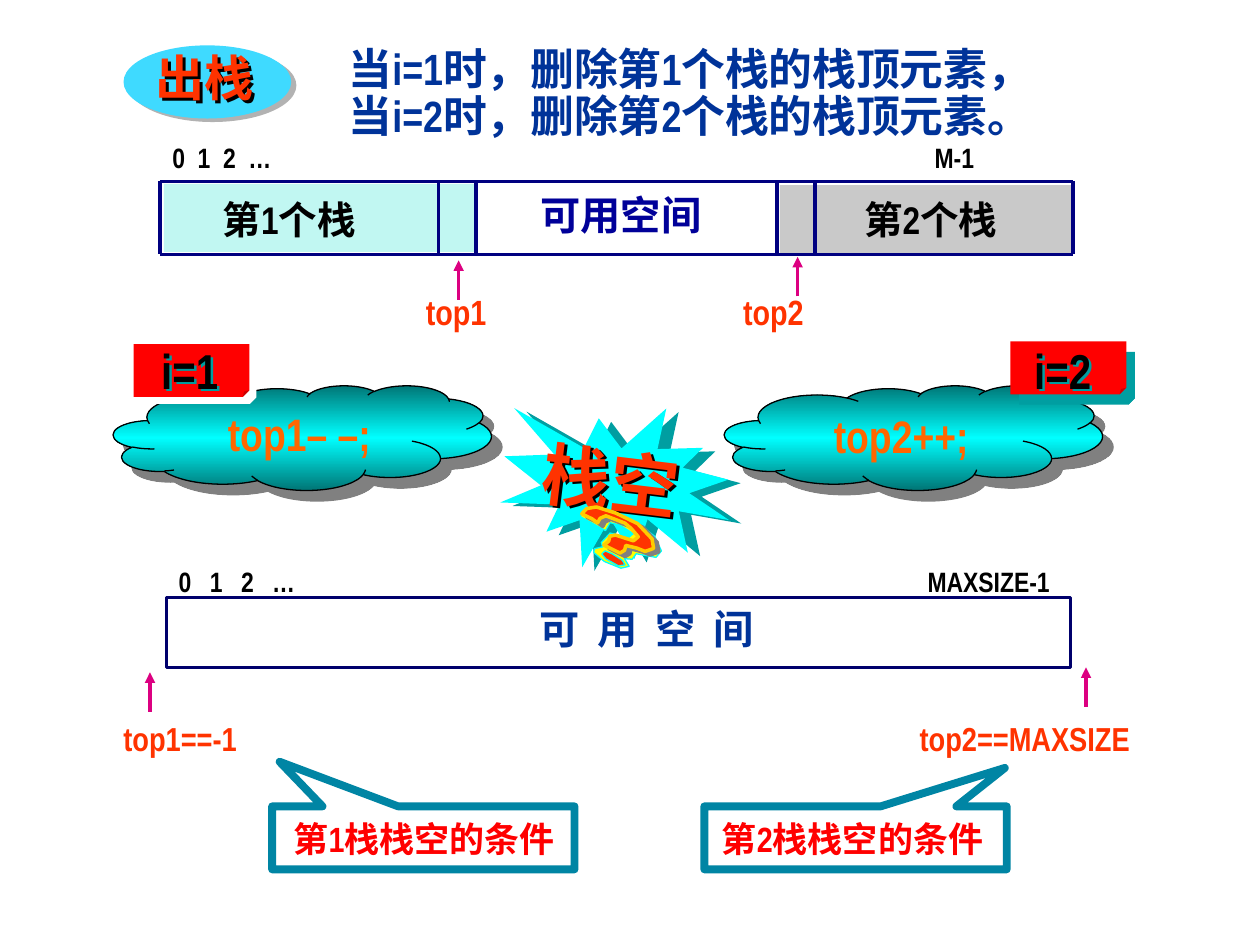
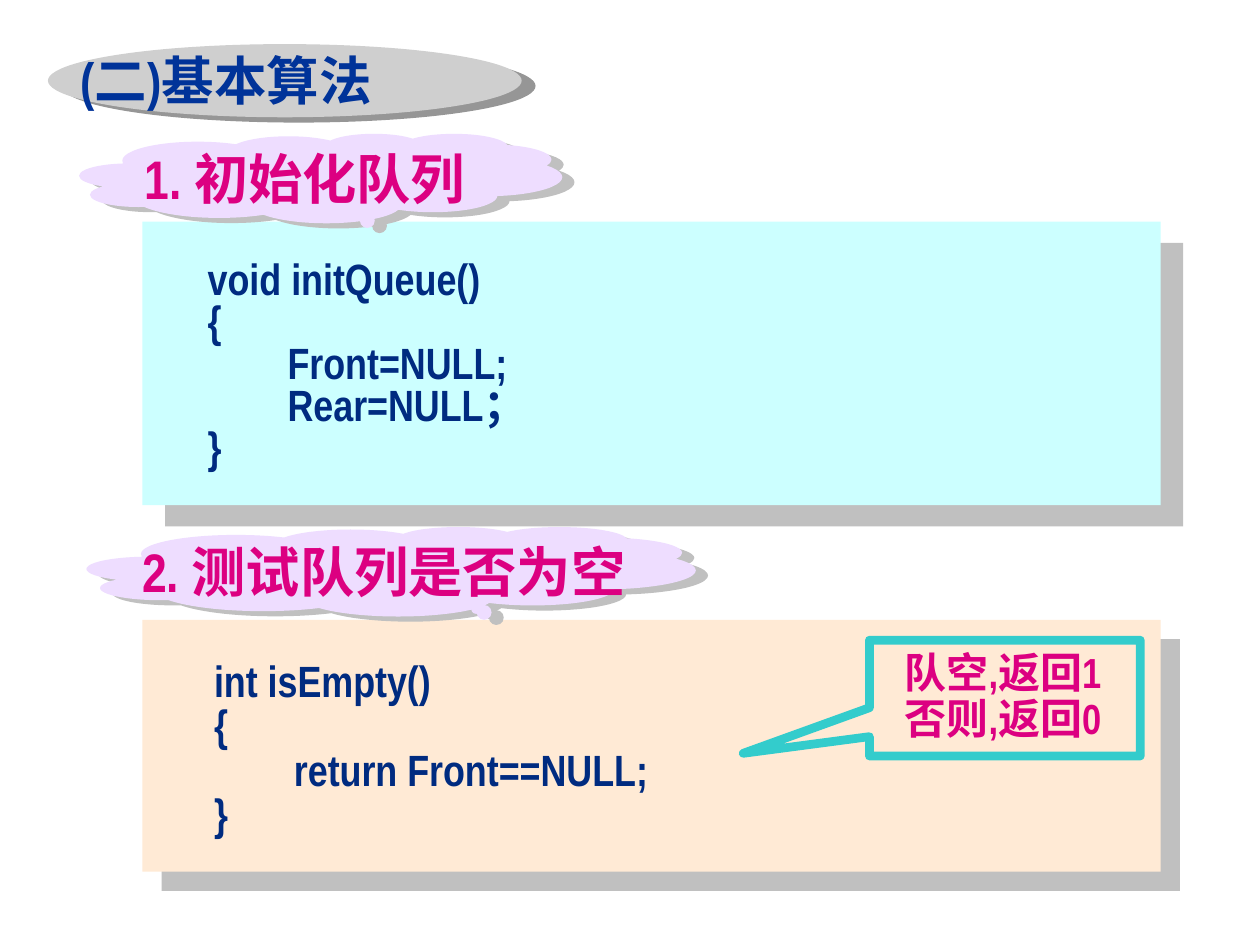
"""Builds two slides on shared stacks and linked queues."""
from copy import deepcopy

from lxml.etree import SubElement
from pptx import Presentation
from pptx.dml.color import RGBColor
from pptx.enum.shapes import MSO_CONNECTOR, MSO_SHAPE
from pptx.oxml.ns import qn
from pptx.util import Pt

LATIN, CJK = "Arial Narrow", "Noto Sans CJK SC"
COLORS = {
    "title": "003399", "navy": "000080", "frame": "00006C", "free": "000099", "code": "002B80",
    "black": "000000", "white": "FFFFFF", "red": "FF0000", "vermilion": "FF3300",
    "orange": "FF6600", "gold": "FFCC00", "yellow": "FFFF00", "magenta": "DC0081",
    "cyan": "00FFFF", "deep_teal": "007676", "teal_shadow": "009EA1", "callout": "0085A4",
    "turquoise": "33CCCC", "sky": "3FDAFF", "stack1": "C1F7F2", "stack2": "C9C9C9",
    "init": "CCFFFF", "empty": "FFEAD5", "lilac": "EEDDFF", "section": "CFCFCF",
    "gray": "808080", "mid_gray": "969696", "soft_gray": "B2B2B2", "pale_gray": "C0C0C0",
}
RGB = {name: RGBColor.from_string(value) for name, value in COLORS.items()}


def draw(s, kind, box=None, fill=None, line=None, weight=0.75, shadow=None, rot=0, adj=None):
    """Add a text box (kind None), a preset shape or an outline in 1/100 inch."""
    if kind is None:
        sp = s.shapes.add_textbox(*map(Pt, box))
    elif isinstance(kind, list):
        builder = s.shapes.build_freeform(*kind[0], scale=Pt(0.72))
        builder.add_line_segments(kind[1:], close=True)
        sp = builder.convert_to_shape()
    else:
        sp = s.shapes.add_shape(kind, *map(Pt, box))
    if adj:
        guides = sp._element.spPr.find(".//" + qn("a:avLst"))
        guides[:] = []
        for name, value in adj.items():
            SubElement(guides, qn("a:gd"), name=name, fmla=f"val {round(value * 100000)}")
    sp.rotation = rot
    if fill:
        sp.fill.solid()
        sp.fill.fore_color.rgb = RGB[fill]
    else:
        sp.fill.background()
    if line:
        sp.line.color.rgb = RGB[line]
        sp.line.width = Pt(weight)
    else:
        sp.line.fill.background()
    sp.shadow.inherit = False
    if shadow:
        color, dist, angle = shadow
        effects = sp._element.spPr.find(qn("a:effectLst"))
        outer = SubElement(effects, qn("a:outerShdw"), dist=str(Pt(dist)),
                           dir=str(angle * 60000), algn="ctr", rotWithShape="0")
        SubElement(outer, qn("a:srgbClr"), val=COLORS[color])
    return sp


def text(s, box, lines, size, color, spacing=1.0, tracking=0, shadow=None, rot=0):
    """Add bold text; a line that starts with a tab is indented."""
    tf = draw(s, None, box, shadow=shadow, rot=rot).text_frame
    tf.word_wrap = True
    for i, content in enumerate(lines.split("\n")):
        p = tf.add_paragraph() if i else tf.paragraphs[0]
        p.text = content.lstrip("\t")
        p.line_spacing = spacing
        p.font.size, p.font.bold, p.font.name = Pt(size), True, LATIN
        p.font.color.rgb = RGB[color]
        SubElement(p.font._rPr, qn("a:ea"), typeface=CJK)
        if tracking:
            p.font._rPr.set("spc", str(int(tracking * 100)))
        if content.startswith("\t"):
            p._p.get_or_add_pPr().set("marL", str(Pt(45.7)))


prs = Presentation()
prs.slide_width, prs.slide_height = Pt(720), Pt(540)
blank = prs.slide_layouts[6]

s = prs.slides.add_slide(blank)
text(s, (192.2, 23.8, 438, 61), "当i=1时，删除第1个栈的栈顶元素，\n当i=2时，删除第2个栈的栈顶元素。",
     25, "title", 0.9)

for cloud_x, op, op_x, op_y, tag, tag_x, tag_y, tag_text_x, tag_shadow in (
    (64.8, "top1– –;", 123.1, 228.2, "i=1", 76.3, 196.6, 85, ("white", 5.7, 45)),
    (414, "top2++;", 469.4, 229.7, "i=2", 577.4, 195.1, 583.9, ("teal_shadow", 7.8, 50)),
):
    cloud = draw(s, MSO_SHAPE.CLOUD, (cloud_x, 220.3, 216, 59.8), None, "black",
                 shadow=("gray", 8.5, 45))
    cloud.fill.gradient()
    cloud.fill.gradient_angle = 90
    stops = cloud._element.spPr.find(".//" + qn("a:gsLst"))
    stops.append(deepcopy(stops[0]))
    for stop, position, color in zip(cloud.fill.gradient_stops, (0, 0.5, 1),
                                     ("deep_teal", "cyan", "deep_teal")):
        stop.position = position
        stop.color.rgb = RGB[color]
    text(s, (op_x, op_y, 140, 38), op, 26, "orange")
    draw(s, MSO_SHAPE.FOLDED_CORNER, (tag_x, tag_y, 66.2, 30.2), "red",
         shadow=tag_shadow, adj={"adj": 0.125})
    text(s, (tag_text_x, 190.8, 62, 41), tag, 28, "black", shadow=("teal_shadow", 2, 45))

draw(s, MSO_SHAPE.RECTANGLE, (95, 341.3, 517, 40.3), None, "frame", 1.75)
text(s, (301, 342, 160, 34.6), "可用空间", 23, "title", tracking=10.2)

for x, text_x, tip, label in (
    (155.5, 160.6, {"adj1": -0.475, "adj2": -1.208}, "第1栈栈空的条件"),
    (402.5, 405.4, {"adj1": 0.494, "adj2": -1.111}, "第2栈栈空的条件"),
):
    draw(s, MSO_SHAPE.RECTANGULAR_CALLOUT, (x, 460.8, 172.8, 36), None, "callout", 4.5, adj=tip)
    text(s, (text_x, 463.7, 174.2, 31), label, 20, "red")

draw(s, MSO_SHAPE.OVAL, (70.6, 25.9, 95.8, 41.8), "sky", shadow=("soft_gray", 3.6, 34))
text(s, (82, 27.4, 108, 37.4), "出栈", 28, "vermilion", 0.9, shadow=("black", 2, 45))

draw(s, MSO_SHAPE.EXPLOSION1, (286.6, 230.4, 131.8, 95.8), "cyan",
     shadow=("teal_shadow", 7.3, 16), rot=6.9)
text(s, (303, 247, 94, 54), "栈空", 39, "vermilion", shadow=("black", 2, 45), rot=6.9)

halo = [(481, 417), (489, 417), (501, 421), (498, 425), (483, 425), (478, 434), (480, 437),
        (474, 440), (474, 443), (484, 448), (498, 450), (504, 447), (499, 442), (505, 441),
        (507, 436), (523, 435), (526, 429), (518, 419), (500, 411), (477, 408), (463, 409),
        (457, 414), (457, 418), (479, 424)]
hook = [(459, 415), (468, 417), (473, 419), (474, 415), (478, 412), (494, 414), (500, 417),
        (507, 422), (504, 426), (489, 425), (485, 427), (485, 431), (482, 435), (496, 438),
        (499, 435), (499, 431), (508, 431), (515, 432), (521, 428), (518, 421), (504, 412),
        (485, 408), (469, 407), (462, 410)]
dot = [(485, 440), (479, 439), (477, 442), (481, 445), (492, 448), (497, 446), (494, 443)]
draw(s, halo, None, "yellow", "cyan", rot=13.9)
draw(s, hook, None, "vermilion", "gold", 2, ("gray", 3.6, 34), 13.9)
draw(s, dot, None, "vermilion", "cyan", rot=13.9)

draw(s, MSO_SHAPE.RECTANGLE, (93.6, 105.1, 177.8, 38.9), "stack1")
draw(s, MSO_SHAPE.RECTANGLE, (445.7, 105.8, 166.3, 38.9), "stack2")
left, right, top, bottom = 91.4, 613.4, 103.7, 145.4
borders = [(left, y, right, y, "navy", 2, False) for y in (top, bottom)]
borders += [(x, top, x, bottom, "navy", 2.25, False)
            for x in (left, 250.6, 272.2, 444.2, 465.8, right)]
pointers = [(x, y, x, y - 22.6, "magenta", 2, True)
            for x, y in ((262.1, 171.4), (455.8, 169.4), (85.7, 406.8), (620.6, 404))]
for x1, y1, x2, y2, color, weight, arrow in borders + pointers:
    c = s.shapes.add_connector(MSO_CONNECTOR.STRAIGHT, Pt(x1), Pt(y1), Pt(x2), Pt(y2))
    c.line.color.rgb = RGB[color]
    c.line.width = Pt(weight)
    if arrow:
        SubElement(c.line._get_or_add_ln(), qn("a:tailEnd"), type="triangle")
    SubElement(c._element.spPr, qn("a:effectLst"))

for x, y, label, size, color, tracking in (
    (91.4, 77, "0 1 2 …", 16, "black", 1.8),
    (527, 77, "M-1", 16, "black", 0),
    (95, 319, "0 1 2 …", 16, "black", 3.5),
    (523, 319, "MAXSIZE-1", 16, "black", 0),
    (301.7, 105.1, "可用空间", 23, "free", 0),
    (120.2, 108.7, "第1个栈", 22, "black", 0),
    (486.7, 108.7, "第2个栈", 22, "black", 0),
    (236.2, 162.7, "top1", 20, "vermilion", 0),
    (417.5, 162.7, "top2", 20, "vermilion", 0),
    (63.4, 406.8, "top1==-1", 19, "vermilion", 0),
    (518.4, 406.8, "top2==MAXSIZE", 19, "vermilion", 0),
):
    text(s, (x, y, 148, size * 1.5), label, size, color, tracking=tracking)

s = prs.slides.add_slide(blank)
for y, h, fill, shadow, code_box, code, spacing in (
    (126.7, 162, "init", ("pale_gray", 17.7, 43), (111.6, 146.2, 534, 127.4),
     "void initQueue()\n{\n\tFront=NULL;\n\tRear=NULL；\n}", 0.8),
    (354.2, 144, "empty", ("pale_gray", 15.6, 45), (115.2, 374.4, 384, 109.4),
     "int isEmpty()\n{\n\treturn Front==NULL;\n}", 0.85),
):
    draw(s, MSO_SHAPE.RECTANGLE, (81.4, y, 581.8, h), fill, shadow=shadow)
    text(s, code_box, code, 25, "code", spacing)

draw(s, MSO_SHAPE.RECTANGULAR_CALLOUT, (496.8, 365.8, 154.8, 66.2), None, "turquoise", 5,
     adj={"adj1": -0.966, "adj2": 0.477})
text(s, (509.8, 369.4, 174.2, 59), "队空,返回1\n否则,返回0", 24, "magenta", 0.9)

draw(s, MSO_SHAPE.OVAL, (27.4, 25.2, 270.7, 41.8), "section", shadow=("mid_gray", 8.5, 21))
text(s, (38.9, 23.8, 244, 43.2), "(二)基本算法", 30, "title")

for x, y, w, tail, text_x, heading in (
    (45.4, 76.3, 275.8, 0.082, 75.6, "1. 初始化队列"),
    (49.7, 301, 347.8, 0.134, 74.2, "2. 测试队列是否为空"),
):
    draw(s, MSO_SHAPE.CLOUD_CALLOUT, (x, y, w, 51.1), "lilac",
         shadow=("pale_gray", 7.6, 23), adj={"adj1": tail, "adj2": 0.402})
    text(s, (text_x, y + 2.9, 324, 44.6), heading, 31, "magenta")

prs.save("out.pptx")
